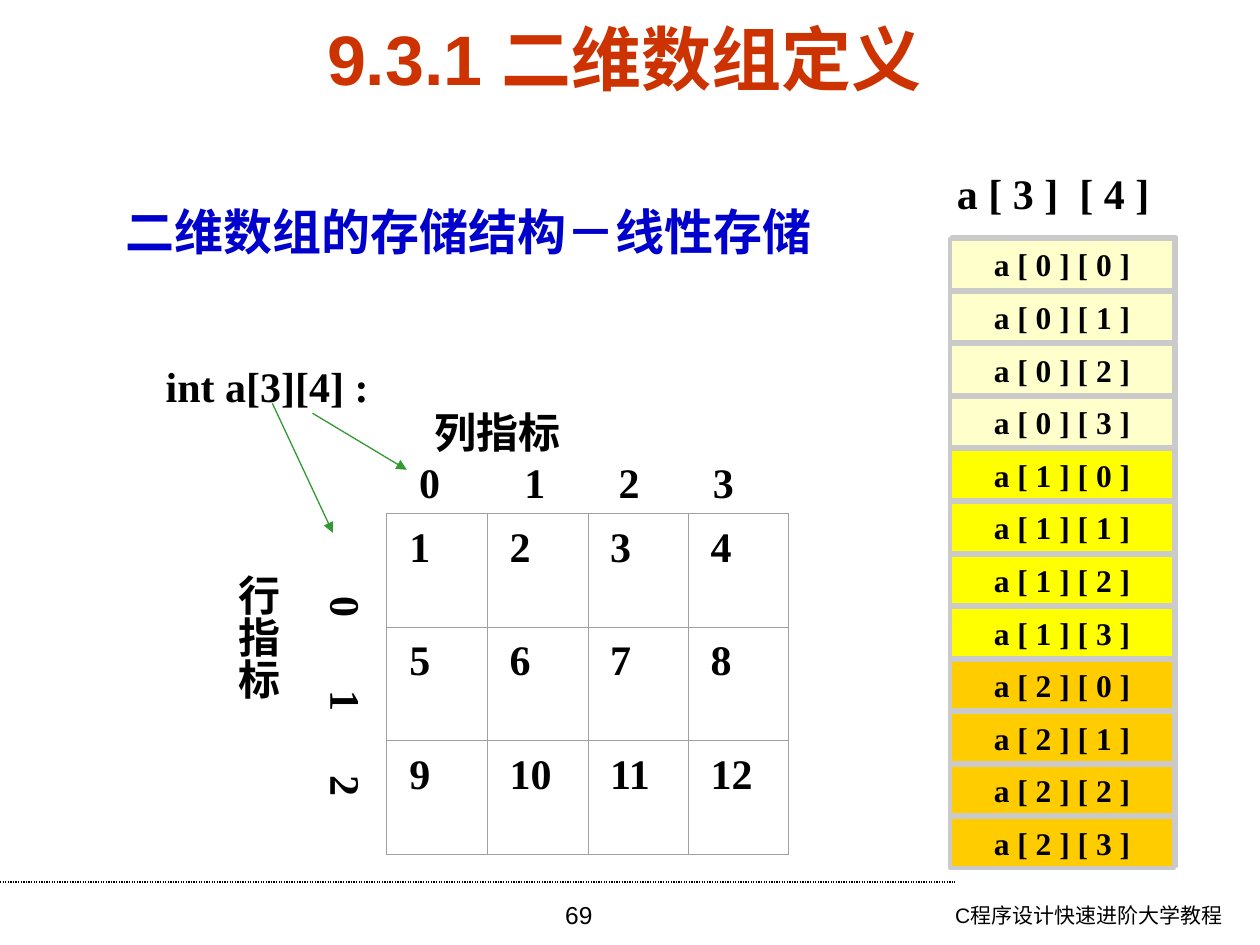
from lxml.etree import SubElement
from pptx import Presentation
from pptx.dml.color import RGBColor
from pptx.enum.dml import MSO_LINE
from pptx.enum.shapes import MSO_CONNECTOR as CONN, MSO_SHAPE as SHAPE
from pptx.enum.text import MSO_ANCHOR as ANCHOR, PP_ALIGN as ALIGN
from pptx.oxml.ns import qn
from pptx.util import Cm, Pt

BLACK = RGBColor(0x00, 0x00, 0x00)
RED = RGBColor(0xCC, 0x33, 0x00)
BLUE = RGBColor(0x00, 0x00, 0xCC)
GREEN = RGBColor(0x33, 0x99, 0x33)
SILVER = RGBColor(0xCA, 0xCA, 0xCA)
GREY = RGBColor(0xA0, 0xA0, 0xA0)
ROW_FILLS = [RGBColor(0xFF, 0xFF, 0xCC), RGBColor(0xFF, 0xFF, 0x00), RGBColor(0xFF, 0xCC, 0x00)]
SANS, SERIF = "Arial", "Times New Roman"
ROWS, COLS = 3, 4


def write(tf, text, size, font=SERIF, color=BLACK, bold=True, align=ALIGN.LEFT):
    """Put one formatted run into the first paragraph."""
    p = tf.paragraphs[0]
    p.alignment = align
    r = p.add_run()
    r.text = text
    r.font.size, r.font.name, r.font.bold = Pt(size), font, bold
    r.font.color.rgb = color
    return p


def add_text(s, box, text, size, vertical=False, tabs=(), **style):
    """Add a text box, optionally vertical or with tab stops in cm."""
    tf = s.shapes.add_textbox(*map(Cm, box)).text_frame
    tf.word_wrap = True
    if vertical:
        tf.margin_left = tf.margin_right = Cm(0.13)
        tf.margin_top = tf.margin_bottom = Cm(0.25)
        tf._txBody.bodyPr.set("vert", "eaVert")
    p = write(tf, text, size, **style)
    if tabs:
        tab_list = SubElement(p._p.get_or_add_pPr(), qn("a:tabLst"))
        for pos in tabs:
            SubElement(tab_list, qn("a:tab"), pos=str(Cm(pos)), algn="l")


def add_line(s, start, end, color, arrow=False):
    """Add a thin straight line, dotted unless it is an arrow."""
    line = s.shapes.add_connector(CONN.STRAIGHT, *map(Cm, start + end))
    line.line.color.rgb, line.line.width = color, Pt(0.75)
    if arrow:
        SubElement(line.line._get_or_add_ln(), qn("a:tailEnd"), type="triangle")
    else:
        line.line.dash_style = MSO_LINE.ROUND_DOT
    SubElement(line._element.spPr, qn("a:effectLst"))


def add_shadow(sp):
    """Give a shape a hard shadow towards the upper right."""
    sp.shadow.inherit = False
    effects = sp._element.spPr.find(qn("a:effectLst"))
    shadow = SubElement(effects, qn("a:outerShdw"), dist=str(Pt(1.4)), dir="18900000",
                        algn="ctr", rotWithShape="0")
    SubElement(shadow, qn("a:srgbClr"), val=str(SILVER))


def add_memory(s, left, top, width, height, pitch):
    """Stack the array elements in storage order, one group per row."""
    for row, fill in enumerate(ROW_FILLS):
        group = s.shapes.add_group_shape()
        for col in range(COLS):
            y = top + (row * COLS + col) * pitch
            sp = group.shapes.add_shape(SHAPE.RECTANGLE, Cm(left), Cm(y), Cm(width), Cm(height))
            sp.fill.solid()
            sp.fill.fore_color.rgb = fill
            sp.line.color.rgb, sp.line.width = SILVER, Pt(2.25)
            add_shadow(sp)
            sp.text_frame.word_wrap = False
            sp.text_frame.vertical_anchor = ANCHOR.MIDDLE
            write(sp.text_frame, f"a [ {row} ] [ {col} ]", 18, align=ALIGN.CENTER)


def set_borders(cell, row, col):
    """Draw grey cell borders, heavier on the outer edge."""
    outer = {"L": col == 0, "R": col == COLS - 1, "T": row == 0, "B": row == ROWS - 1}
    for side, is_outer in outer.items():
        width = Pt(0.75 if is_outer else 0.25)
        ln = SubElement(cell._tc.get_or_add_tcPr(), qn(f"a:ln{side}"), w=str(width))
        SubElement(SubElement(ln, qn("a:solidFill")), qn("a:srgbClr"), val=str(GREY))


def add_matrix(s, left, top, width, height):
    """Add the array values as a table."""
    table = s.shapes.add_table(ROWS, COLS, Cm(left), Cm(top), Cm(width), Cm(height)).table
    table.first_row = table.horz_banding = False
    for row in range(ROWS):
        for col in range(COLS):
            cell = table.cell(row, col)
            set_borders(cell, row, col)
            cell.fill.background()
            cell.margin_left, cell.margin_top = Cm(0.45), Cm(0.23)
            write(cell.text_frame, str(row * COLS + col + 1), 24)


def set_title(s, text):
    """Place and format the title placeholder."""
    title = s.shapes.title
    title.left, title.top, title.width, title.height = map(Cm, (1.09, 0.53, 22.99, 1.27))
    title.text_frame.vertical_anchor = ANCHOR.MIDDLE
    write(title.text_frame, text, 40, SANS, RED, align=ALIGN.CENTER)


def main():
    """Build the slide."""
    prs = Presentation()
    prs.slide_width, prs.slide_height = Cm(25.4), Cm(19.05)
    s = prs.slides.add_slide(prs.slide_layouts[5])
    set_title(s, "9.3.1 二维数组定义")

    add_line(s, (0, 17.78), (19.25, 17.78), BLACK)
    add_text(s, (16.69, 18.06, 8.2, 0.99), "C程序设计快速进阶大学教程", 12,
             font=SANS, bold=False, align=ALIGN.RIGHT)
    add_text(s, (8.71, 18.01, 5.92, 1.04), "69", 14, font=SANS, bold=False, align=ALIGN.CENTER)

    add_text(s, (2.29, 3.94, 16.81, 1.45), "二维数组的存储结构－线性存储", 28, font=SANS, color=BLUE)
    add_text(s, (18.73, 3.25, 5, 1.27), "a [ 3 ]  [ 4 ]", 24, align=ALIGN.CENTER)
    add_memory(s, 19.15, 4.82, 4.52, 1.02, 1.06)

    add_matrix(s, 7.8, 10.35, 8.1, 6.87)
    add_text(s, (7.59, 9.07, 9.32, 1.27), "\t0\t1\t2\t3", 24, tabs=(0.61, 2.73, 4.63, 6.53))
    add_text(s, (6.12, 9.5, 1.52, 7.82), "\t0\t1\t2", 24, vertical=True, tabs=(2.27, 4.18, 5.88))
    add_text(s, (3.09, 7.14, 5.02, 1.27), "int a[3][4] :", 24)
    add_line(s, (5.49, 8.13), (6.71, 10.74), GREEN, arrow=True)
    add_line(s, (6.3, 8.33), (8.2, 9.47), GREEN, arrow=True)
    add_text(s, (8.51, 8.08, 3.18, 1.27), "列指标", 24)
    add_text(s, (4.32, 11.33, 1.52, 3.18), "行指标", 24, vertical=True)
    prs.save("out.pptx")


if __name__ == "__main__":
    main()
